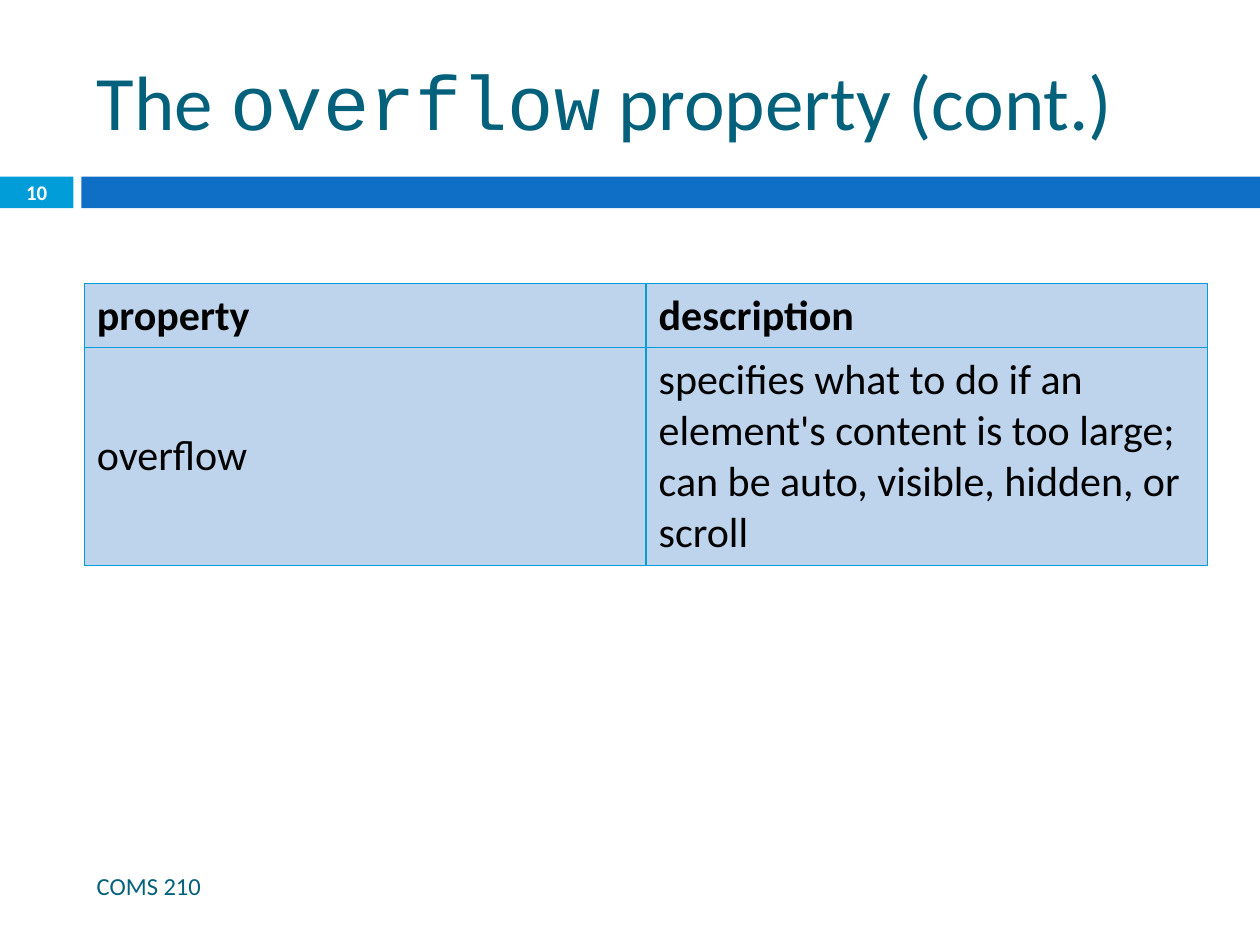
"""Build the slide on the CSS overflow property."""
from lxml import etree
from pptx import Presentation
from pptx import util as u
from pptx.dml.color import RGBColor
from pptx.enum import shapes, text
from pptx.oxml.ns import qn

CYAN = RGBColor(0x00, 0x9D, 0xD9)
BLUE = RGBColor(0x0F, 0x6F, 0xC6)
TEAL = RGBColor(0x04, 0x61, 0x7B)
PALE = RGBColor(0xBD, 0xD4, 0xEC)
BLACK = RGBColor(0x00, 0x00, 0x00)
WHITE = RGBColor(0xFF, 0xFF, 0xFF)
SANS, MONO = "Calibri", "Courier New"
LEFT, WIDTH = u.Cm(1.7), u.Cm(22.65)
ROWS = [
    ["property", "description"],
    ["overflow", "specifies what to do if an element's content is too large; \n"
                 "can be auto, visible, hidden, or scroll"],
]
ROW_HEIGHTS = [u.Cm(1.29), u.Cm(4.39)]


def add_run(p, words, size, color, font=SANS, bold=False):
    """Add one formatted run to a paragraph."""
    r = p.add_run()
    r.text = words
    r.font.size, r.font.name, r.font.bold = u.Pt(size), font, bold
    r.font.color.rgb = color


def add_title(s):
    """Place the title and set its mixed fonts."""
    sp = s.shapes.title
    sp.left, sp.top, sp.width, sp.height = LEFT, u.Cm(0.64), WIDTH, u.Cm(2.74)
    tf = sp.text_frame
    tf.auto_size = text.MSO_AUTO_SIZE.NONE
    tf.vertical_anchor = text.MSO_ANCHOR.MIDDLE
    p = tf.paragraphs[0]
    p.alignment = text.PP_ALIGN.LEFT
    for words, font in [("The ", SANS), ("overflow", MONO), (" property (cont.)", SANS)]:
        add_run(p, words, 44, TEAL, font)


def add_bar(s, left, width, color):
    """Add one segment of the band below the title."""
    sp = s.shapes.add_shape(shapes.MSO_SHAPE.RECTANGLE, left, u.Cm(3.56), width, u.Cm(0.64))
    sp.shadow.inherit = False
    sp.fill.solid()
    sp.fill.fore_color.rgb = color
    sp.line.fill.background()


def add_label(s, words, box, size, color, align, bold=False):
    """Add a one-line text box centred vertically."""
    tf = s.shapes.add_textbox(*box).text_frame
    tf.word_wrap = True
    tf.vertical_anchor = text.MSO_ANCHOR.MIDDLE
    p = tf.paragraphs[0]
    p.alignment = align
    add_run(p, words, size, color, bold=bold)


def set_borders(cell, color, width):
    """Draw a line on all four sides of a cell."""
    tc_pr = cell._tc.get_or_add_tcPr()
    for side in ("lnL", "lnR", "lnT", "lnB"):
        ln = etree.SubElement(tc_pr, qn(f"a:{side}"), w=str(width))
        fill = etree.SubElement(ln, qn("a:solidFill"))
        etree.SubElement(fill, qn("a:srgbClr"), val=str(color))


def fill_cell(cell, words, bold):
    """Format a cell and write its lines."""
    set_borders(cell, CYAN, u.Pt(0.79))
    cell.fill.solid()
    cell.fill.fore_color.rgb = PALE
    cell.vertical_anchor = text.MSO_ANCHOR.MIDDLE
    p = cell.text_frame.paragraphs[0]
    for i, line in enumerate(words.split("\n")):
        if i:
            p.add_line_break()
        add_run(p, line, 24, BLACK, bold=bold)


def add_property_table(s):
    """Add the table of properties and descriptions."""
    frame = s.shapes.add_table(len(ROWS), len(ROWS[0]), LEFT, u.Cm(5.72), WIDTH, sum(ROW_HEIGHTS))
    table = frame.table
    for i, (row, height) in enumerate(zip(ROWS, ROW_HEIGHTS)):
        table.rows[i].height = height
        for j, words in enumerate(row):
            fill_cell(table.cell(i, j), words, bold=i == 0)


def main():
    """Build and save the slide."""
    prs = Presentation()
    prs.slide_width, prs.slide_height = u.Cm(25.4), u.Cm(19.05)
    s = prs.slides.add_slide(prs.slide_layouts[5])
    add_bar(s, 0, u.Cm(1.48), CYAN)
    add_bar(s, u.Cm(1.64), u.Cm(23.76), BLUE)
    add_title(s)
    add_label(s, "10", (0, u.Cm(3.54), u.Cm(1.48), u.Cm(0.68)), 11.9, WHITE,
              text.PP_ALIGN.CENTER, bold=True)
    add_property_table(s)
    add_label(s, "COMS 210", (LEFT, u.Cm(17.36), u.Cm(15.06), u.Cm(1.01)), 14, TEAL,
              text.PP_ALIGN.LEFT)
    prs.save("out.pptx")


if __name__ == "__main__":
    main()
